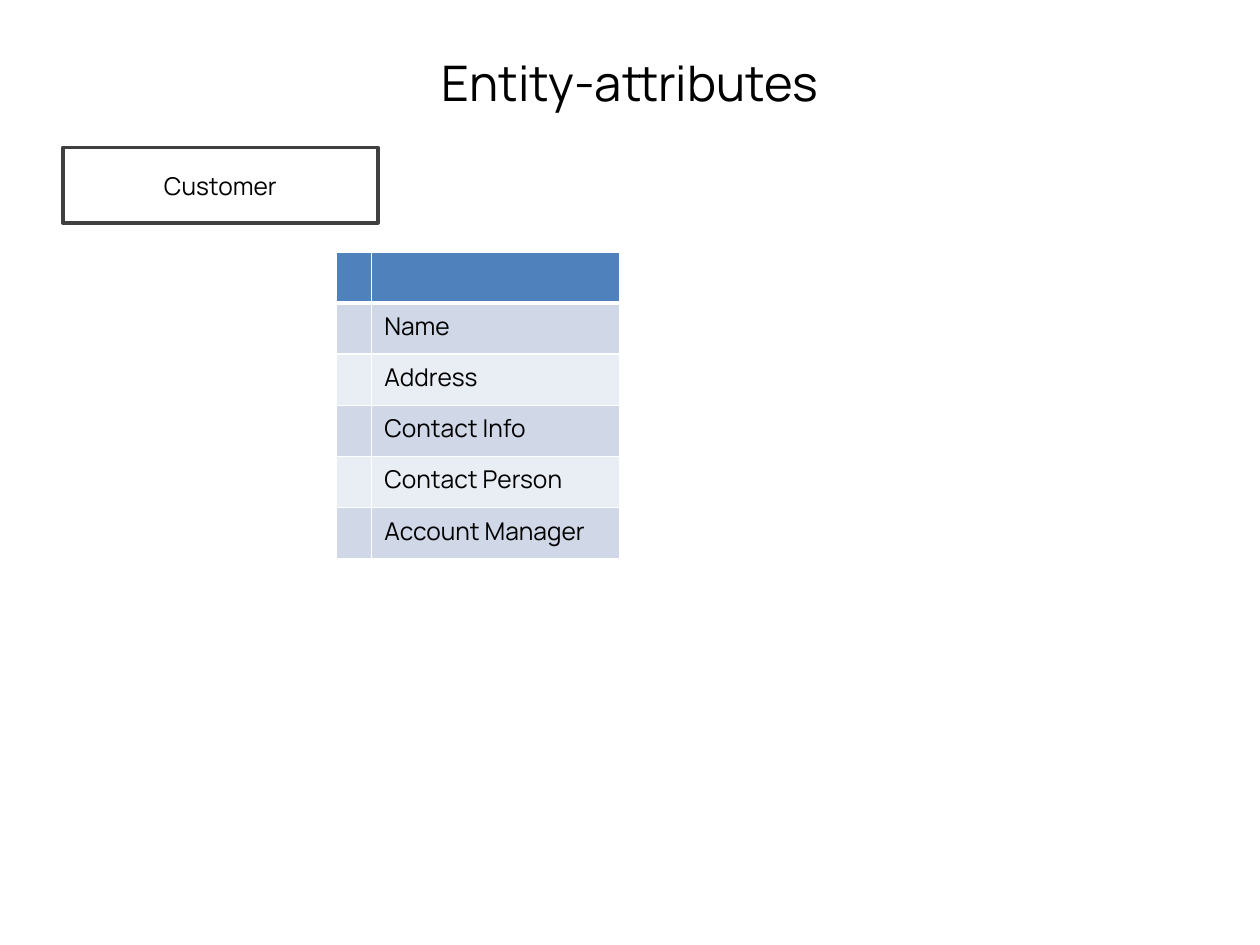
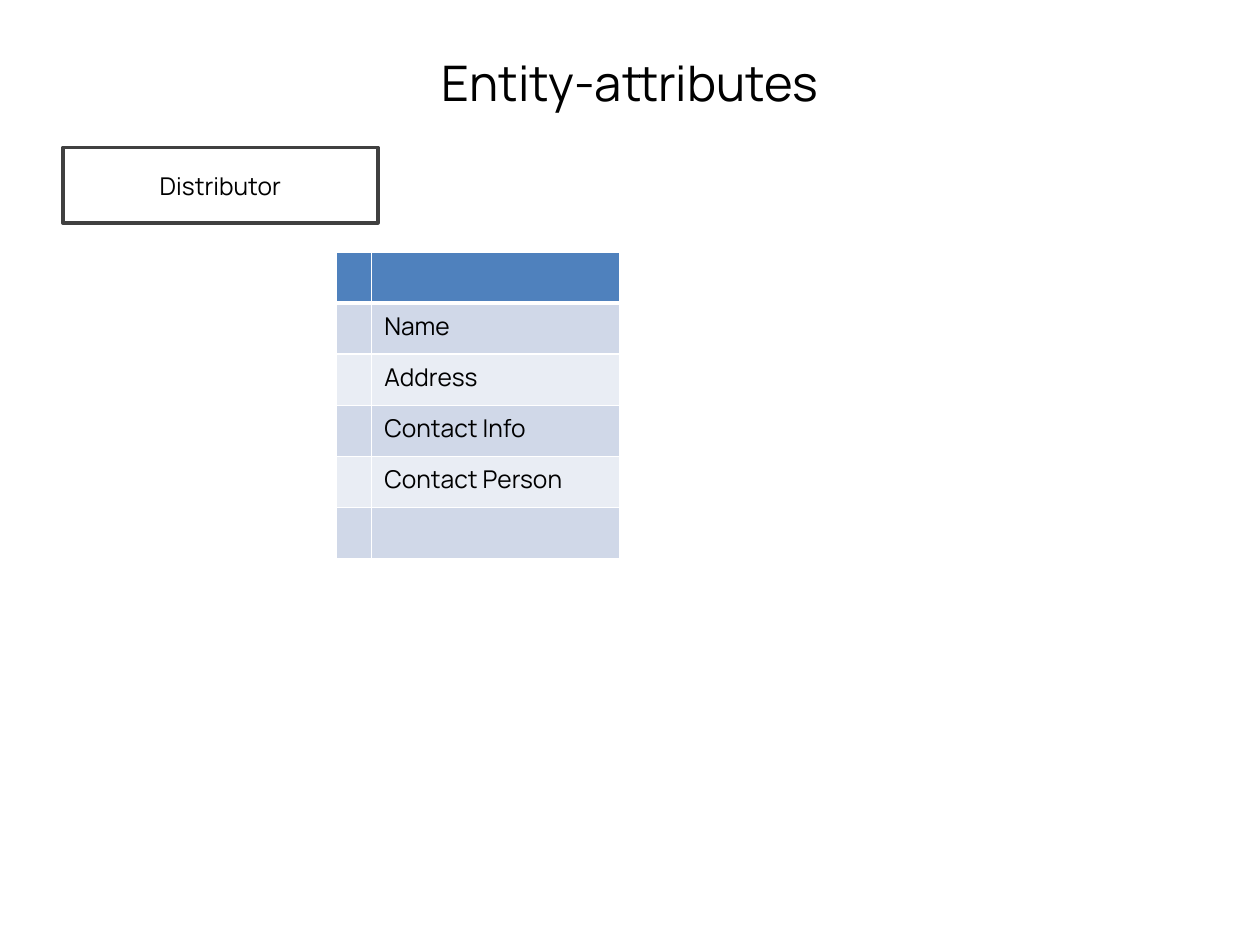
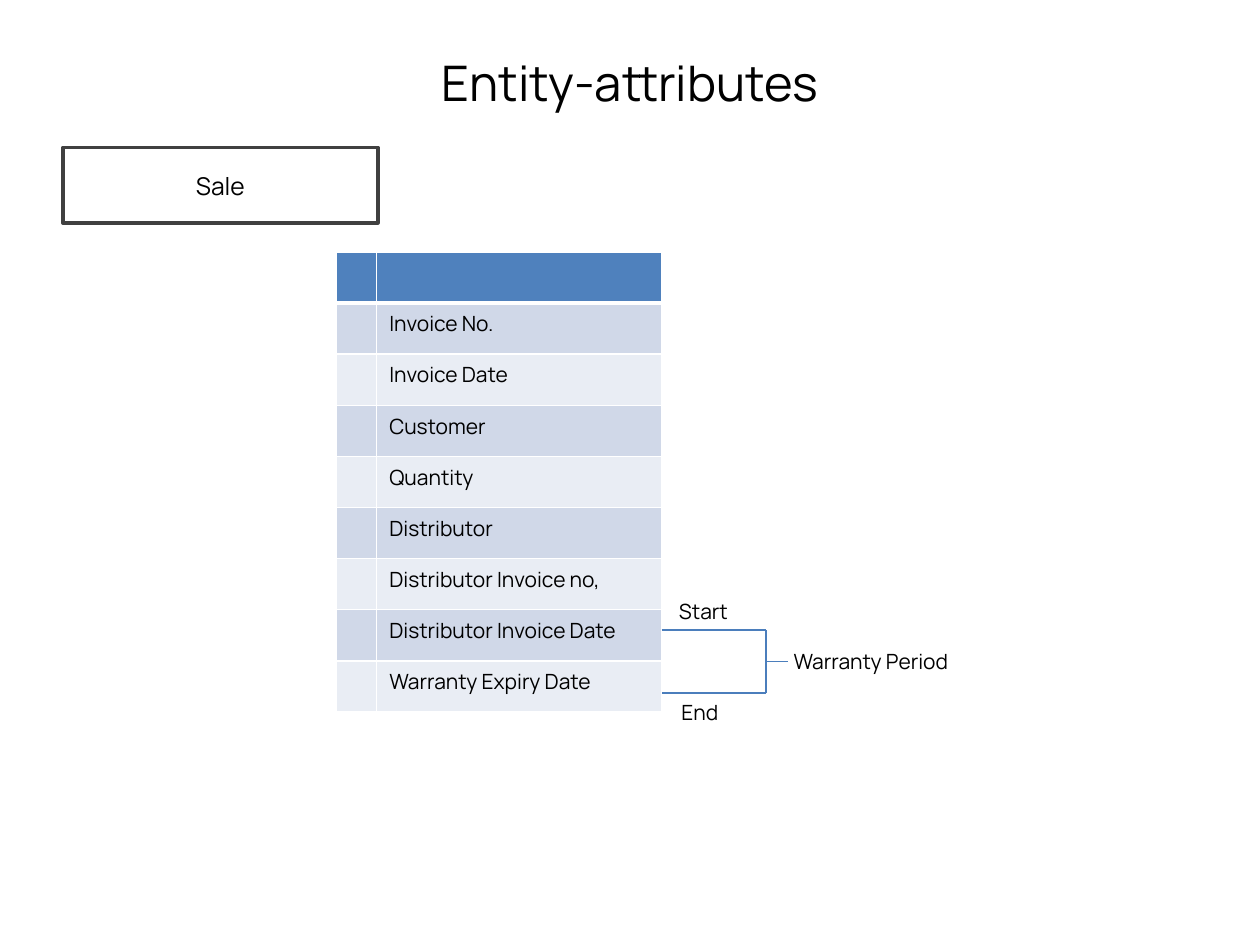
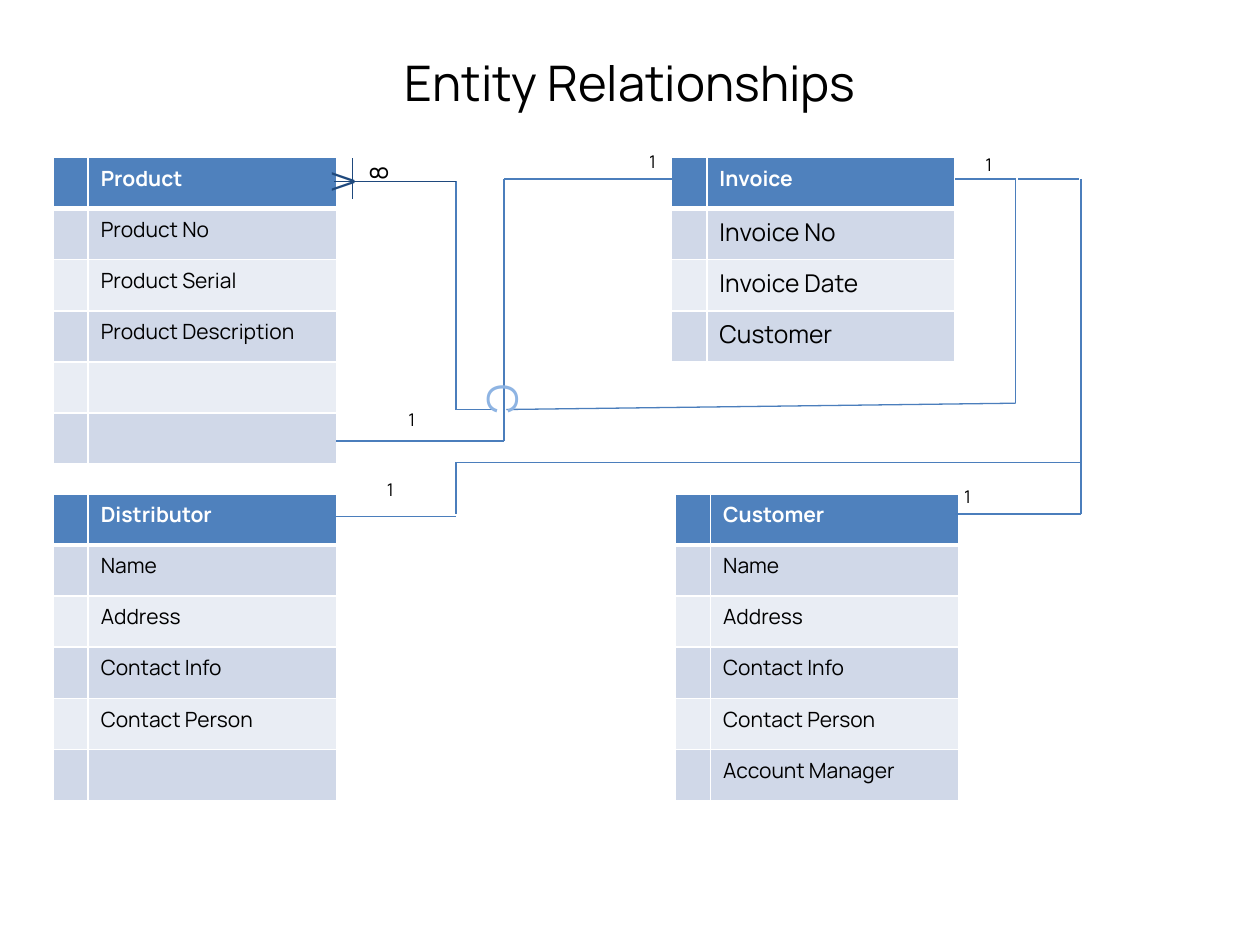
import itertools

import lxml.etree
import pptx
import pptx.dml.color
import pptx.enum.shapes
import pptx.enum.text
import pptx.oxml
import pptx.oxml.ns
import pptx.util

Inches = pptx.util.Inches
Pt = pptx.util.Pt
RGBColor = pptx.dml.color.RGBColor

BLACK = RGBColor(0x00, 0x00, 0x00)
WHITE = RGBColor(0xFF, 0xFF, 0xFF)
BOX_LINE = RGBColor(0x40, 0x40, 0x40)
HEADER = RGBColor(0x4F, 0x81, 0xBD)
BANDS = (RGBColor(0xD0, 0xD8, 0xE8), RGBColor(0xE9, 0xED, 0xF4))
LINK = RGBColor(0x4B, 0x7E, 0xBC)
NAVY = RGBColor(0x1F, 0x49, 0x7D)
PALE_BLUE = RGBColor(0x8E, 0xB4, 0xE3)
FONT = "Manrope"
ROW_HEIGHT = 0.405
TABLE_COLUMNS = (0.28, 1.97)


def format_text(text_frame, size, color=BLACK, bold=False, alignment=None):
    for paragraph in text_frame.paragraphs:
        paragraph.alignment = alignment
        for run in paragraph.runs:
            run.font.name = FONT
            run.font.size = Pt(size)
            run.font.bold = bold
            run.font.color.rgb = color


def add_slide(presentation, title):
    slide = presentation.slides.add_slide(presentation.slide_layouts[5])
    shape = slide.shapes.title
    shape.left, shape.top = Inches(0.5), Inches(0.3)
    shape.width, shape.height = Inches(9), Inches(0.7)
    shape.text_frame.text = title
    shape.text_frame.vertical_anchor = pptx.enum.text.MSO_ANCHOR.MIDDLE
    format_text(shape.text_frame, 28, alignment=pptx.enum.text.PP_ALIGN.CENTER)
    return slide


def add_label(shapes, text, left, top, width, height, size, color=BLACK, rotation=0):
    shape = shapes.add_textbox(Inches(left), Inches(top), Inches(width), Inches(height))
    shape.rotation = rotation
    text_frame = shape.text_frame
    text_frame.text = text
    text_frame.word_wrap = True
    text_frame.auto_size = pptx.enum.text.MSO_AUTO_SIZE.SHAPE_TO_FIT_TEXT
    format_text(text_frame, size, color)


def add_route(shapes, points, color=LINK):
    for (x1, y1), (x2, y2) in itertools.pairwise(points):
        connector = shapes.add_connector(
            pptx.enum.shapes.MSO_CONNECTOR.STRAIGHT,
            Inches(x1), Inches(y1), Inches(x2), Inches(y2))
        connector.line.color.rgb = color
        connector.line.width = Pt(0.75)
        properties = connector._element.spPr
        lxml.etree.SubElement(properties, pptx.oxml.ns.qn("a:effectLst"))


def set_borders(cell, bottom_width):
    properties = cell._tc.get_or_add_tcPr()
    widths = (("lnL", 1), ("lnR", 1), ("lnT", 1), ("lnB", bottom_width))
    for index, (side, width) in enumerate(widths):
        border = pptx.oxml.parse_xml(
            f'<a:{side} {pptx.oxml.ns.nsdecls("a")} w="{Pt(width)}">'
            f'<a:solidFill><a:srgbClr val="{WHITE}"/></a:solidFill></a:{side}>')
        properties.insert(index, border)


def add_entity_table(slide, left, top, header, attributes, size, columns=TABLE_COLUMNS):
    names = [header, *attributes]
    table = slide.shapes.add_table(
        len(names), len(columns), Inches(left), Inches(top),
        Inches(sum(columns)), Inches(ROW_HEIGHT * len(names))).table
    for column, width in zip(table.columns, columns):
        column.width = Inches(width)
    for index, name in enumerate(names):
        is_header = index == 0
        table.rows[index].height = Inches(ROW_HEIGHT)
        for cell in table.rows[index].cells:
            cell.fill.solid()
            cell.fill.fore_color.rgb = HEADER if is_header else BANDS[(index - 1) % 2]
            set_borders(cell, 3 if is_header or index == 0 else 1)
        if name:
            text_frame = table.cell(index, 1).text_frame
            text_frame.text = name
            format_text(text_frame, 12 if is_header else size,
                        WHITE if is_header else BLACK, is_header)


def add_entity_box(slide, name, left, top, width, height):
    shape = slide.shapes.add_shape(
        pptx.enum.shapes.MSO_SHAPE.RECTANGLE,
        Inches(left), Inches(top), Inches(width), Inches(height))
    shape.shadow.inherit = False
    shape.fill.solid()
    shape.fill.fore_color.rgb = WHITE
    shape.line.color.rgb = BOX_LINE
    shape.line.width = Pt(2)
    shape.text_frame.text = name
    shape.text_frame.vertical_anchor = pptx.enum.text.MSO_ANCHOR.MIDDLE
    format_text(shape.text_frame, 14, alignment=pptx.enum.text.PP_ALIGN.CENTER)


def add_attributes_slide(presentation, entity, attributes, size=14, columns=TABLE_COLUMNS):
    slide = add_slide(presentation, "Entity-attributes")
    add_entity_box(slide, entity, 0.5, 1.17, 2.5, 0.6)
    add_entity_table(slide, 2.67, 2, "", attributes, size, columns)
    return slide


def add_warranty_bracket(slide, left, top, width, height):
    right, bottom, middle = left + width, top + height, top + height / 2
    add_route(slide.shapes, [(left, top), (right, top), (right, bottom), (left, bottom)])
    add_route(slide.shapes, [(right, middle), (right + 0.17, middle)])
    add_label(slide.shapes, "Start", left + 0.04, top - 0.3, 0.75, 0.3, 12)
    add_label(slide.shapes, "End", left + 0.06, bottom, 0.75, 0.3, 12)
    add_label(slide.shapes, "Warranty Period", right + 0.12, middle - 0.15, 1.46, 0.3, 12)


def add_many_end(slide, left, top):
    group = slide.shapes.add_group_shape()
    add_label(group.shapes, "V", left, top + 0.06, 0.17, 0.4, 18, NAVY, 270)
    add_route(group.shapes, [(left + 0.17, top + 0.33), (left + 0.17, top)], NAVY)
    add_label(slide.shapes, "8", left + 0.29, top, 0.17, 0.34, 14, rotation=270)


def add_relationships_slide(presentation):
    slide = add_slide(presentation, "Entity Relationships")
    shapes = slide.shapes
    add_entity_table(slide, 0.42, 1.25, "Product", PRODUCT, 12)
    add_entity_table(slide, 5.33, 1.25, "Invoice", INVOICE, 14)
    add_entity_table(slide, 5.36, 3.92, "Customer", CUSTOMER, 12)
    add_entity_table(slide, 0.42, 3.92, "Distributor", DISTRIBUTOR, 12)

    add_route(shapes, [(2.67, 3.5), (4, 3.5), (4, 1.42), (5.33, 1.42)])
    add_route(shapes, [(7.58, 1.42), (8.06, 1.42), (8.06, 3.2), (4.02, 3.25)])
    add_route(shapes, [(3.92, 3.25), (3.62, 3.25), (3.62, 1.44)])
    add_route(shapes, [(2.65, 1.44), (3.62, 1.44)], NAVY)
    add_route(shapes, [(8.08, 1.42), (8.56, 1.42)])
    add_route(shapes, [(8.58, 1.42), (8.58, 4.08), (7.58, 4.08)])
    add_route(shapes, [(8.58, 3.67), (3.62, 3.67), (3.62, 4.08)])
    add_route(shapes, [(2.67, 4.1), (3.62, 4.1)])

    add_label(shapes, "C", 3.85, 2.85, 0.3, 0.5, 24, PALE_BLUE, 90)
    add_many_end(slide, 2.63, 1.25)
    for left, top in ((3.17, 3.2), (5.08, 1.15), (7.75, 1.17), (7.58, 3.81), (3, 3.75)):
        add_label(shapes, "1", left, top, 0.17, 0.27, 10)


CONTACT = ["Name", "Address", "Contact Info", "Contact Person"]
CUSTOMER = CONTACT + ["Account Manager"]
DISTRIBUTOR = CONTACT + [""]
INVOICE = ["Invoice No", "Invoice Date", "Customer"]
PRODUCT = ["Product No", "Product Serial", "Product Description", "", ""]
SALE = ["Invoice No.", "Invoice Date", "Customer", "Quantity", "Distributor",
        "Distributor Invoice no,", "Distributor Invoice Date", "Warranty Expiry Date"]

presentation = pptx.Presentation()
presentation.slide_width = Inches(10)
presentation.slide_height = Inches(7.5)
add_attributes_slide(presentation, "Customer", CUSTOMER)
add_attributes_slide(presentation, "Distributor", DISTRIBUTOR)
sale_slide = add_attributes_slide(presentation, "Sale", SALE, 12, (0.32, 2.26))
add_warranty_bracket(sale_slide, 5.25, 5, 0.83, 0.5)
add_relationships_slide(presentation)
presentation.save("out.pptx")
